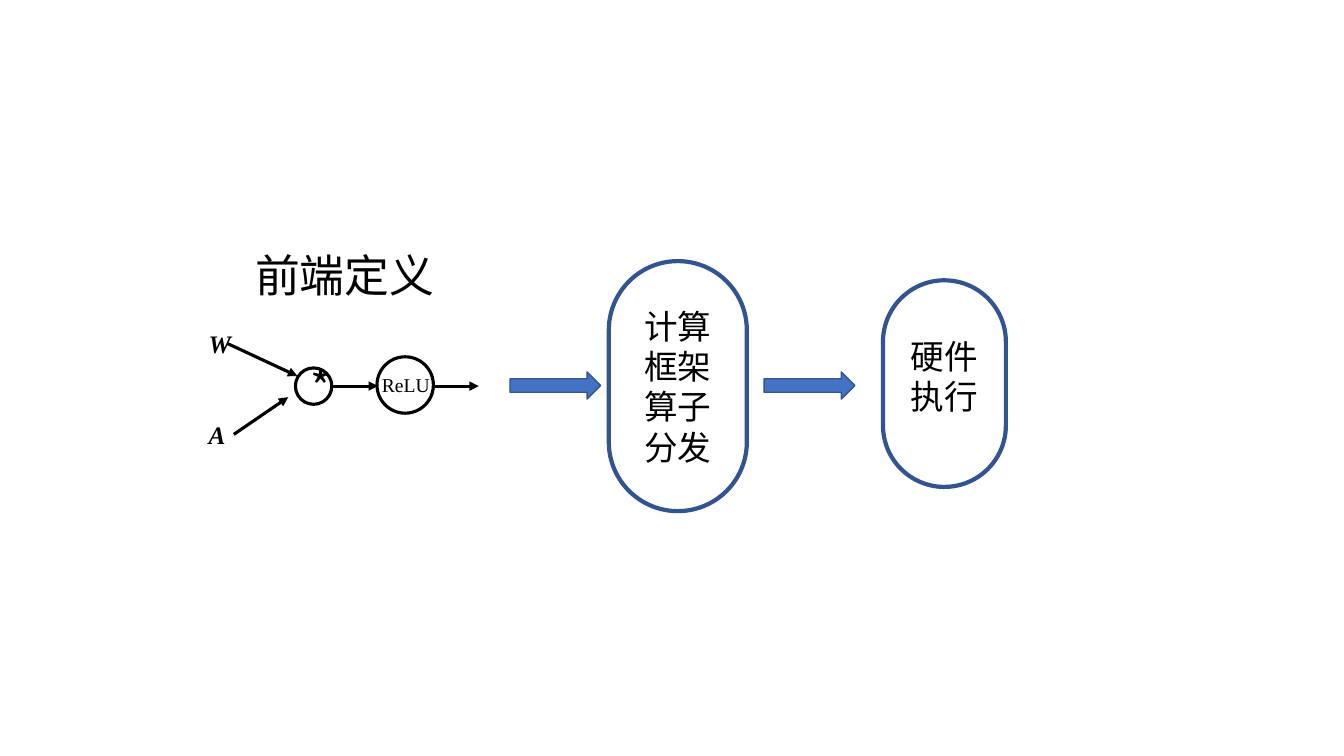
from lxml import etree
from pptx import Presentation
from pptx import util as u
from pptx.dml.color import RGBColor
from pptx.enum import shapes, text
from pptx.oxml import ns

INK = {"black": "000000", "white": "FFFFFF", "blue": "4472C4", "navy": "325491"}
SANS, SERIF = "Noto Sans CJK SC", "Times New Roman"
KIND = shapes.MSO_SHAPE
MID = text.PP_ALIGN.CENTER


def color(name):
    """Return the named colour."""
    return RGBColor.from_string(INK[name])


def write(shape, words, size, face=SANS, align=None, bold=None):
    """Put one styled paragraph into a shape; bold text is italic too."""
    frame = shape.text_frame
    frame.word_wrap = True
    frame.text = words
    para = frame.paragraphs[0]
    para.alignment = align
    font = para.runs[0].font
    font.name, font.size = face, u.Pt(size)
    font.bold = font.italic = bold
    font.color.rgb = color("black")
    east = etree.Element(ns.qn("a:ea"), typeface=face)
    para.runs[0].font._element.find(ns.qn("a:latin")).addnext(east)


def label(slide, box, words, size, **style):
    """Add a text box."""
    shape = slide.shapes.add_textbox(*map(u.Pt, box))
    write(shape, words, size, **style)


def form(slide, kind, box, fill, line, width):
    """Add a preset shape without a shadow."""
    shape = slide.shapes.add_shape(kind, *map(u.Pt, box))
    shape.shadow.inherit = False
    if fill:
        shape.fill.solid()
        shape.fill.fore_color.rgb = color(fill)
    else:
        shape.fill.background()
    shape.line.color.rgb = color(line)
    shape.line.width = u.Pt(width)
    shape.text_frame.vertical_anchor = text.MSO_ANCHOR.MIDDLE
    return shape


def edge(slide, ends):
    """Add a black line with an arrowhead."""
    line = slide.shapes.add_connector(
        shapes.MSO_CONNECTOR.STRAIGHT, *map(u.Pt, ends))
    line.line.color.rgb = color("black")
    line.line.width = u.Pt(2.25)
    etree.SubElement(line.line._get_or_add_ln(), ns.qn("a:tailEnd"), type="triangle")
    etree.SubElement(line._element.spPr, ns.qn("a:effectLst"))


def graph(slide, left, top):
    """Draw the front-end title and its operator graph."""
    axis = top + 102.3
    for x1, y1, x2, y2 in ((20.7, 72, 70.4, 95.1), (25, 136.8, 63.9, 110.2),
                           (95.6, 102.3, 128, 102.3), (167.6, 102.3, 200, 102.3)):
        edge(slide, (left + x1, top + y1, left + x2, top + y2))
    for row, name in enumerate("WA"):
        label(slide, (left, top + 57.6 + 64.8 * row, 20, 29), name, 18,
              face=SERIF, bold=True)
    star, relu = [
        form(slide, KIND.OVAL, (left + x, axis - size / 2 - rise, size, size),
             "white", "black", 2.25)
        for x, size, rise in ((69, 26, 0), (127.3, 40.3, 0.8))]
    write(star, "*", 32, align=MID)
    label(slide, (left + 123.7, top + 89.3, 85, 24.2), "ReLU", 14, face=SERIF)
    label(slide, (left + 30.2, top, 148.3, 46), "前端定义", 32, align=MID)


def arrow(slide, left, top):
    """Draw a block arrow between two stages."""
    form(slide, KIND.RIGHT_ARROW, (left, top, 64.8, 19.4), "blue", "navy", 1)


def stage(slide, box, words, inset=None):
    """Draw a capsule, with its words inside or in an inset text box."""
    left, top, width, height = box
    pill = form(slide, KIND.ROUNDED_RECTANGLE, box, None, "navy", 3)
    pill.adjustments[0] = 0.5
    if inset:
        dx, dy = inset
        label(slide, (left + dx, top + dy, width - 2 * dx, 65.5), words, 24,
              align=MID)
    else:
        write(pill, words, 24, align=MID)


def main():
    """Build and save the slide."""
    deck = Presentation()
    deck.slide_width, deck.slide_height = u.Pt(960), u.Pt(540)
    slide = deck.slides.add_slide(deck.slide_layouts[6])
    graph(slide, 142, 173.5)
    arrow(slide, 364.3, 265.7)
    stage(slide, (434.9, 186.5, 98.6, 178.6), "计算框架算子分发")
    arrow(slide, 545.8, 265.7)
    stage(slide, (630.7, 200.2, 87.8, 147.6), "硬件执行", (10.8, 36))
    deck.save("out.pptx")


if __name__ == "__main__":
    main()
